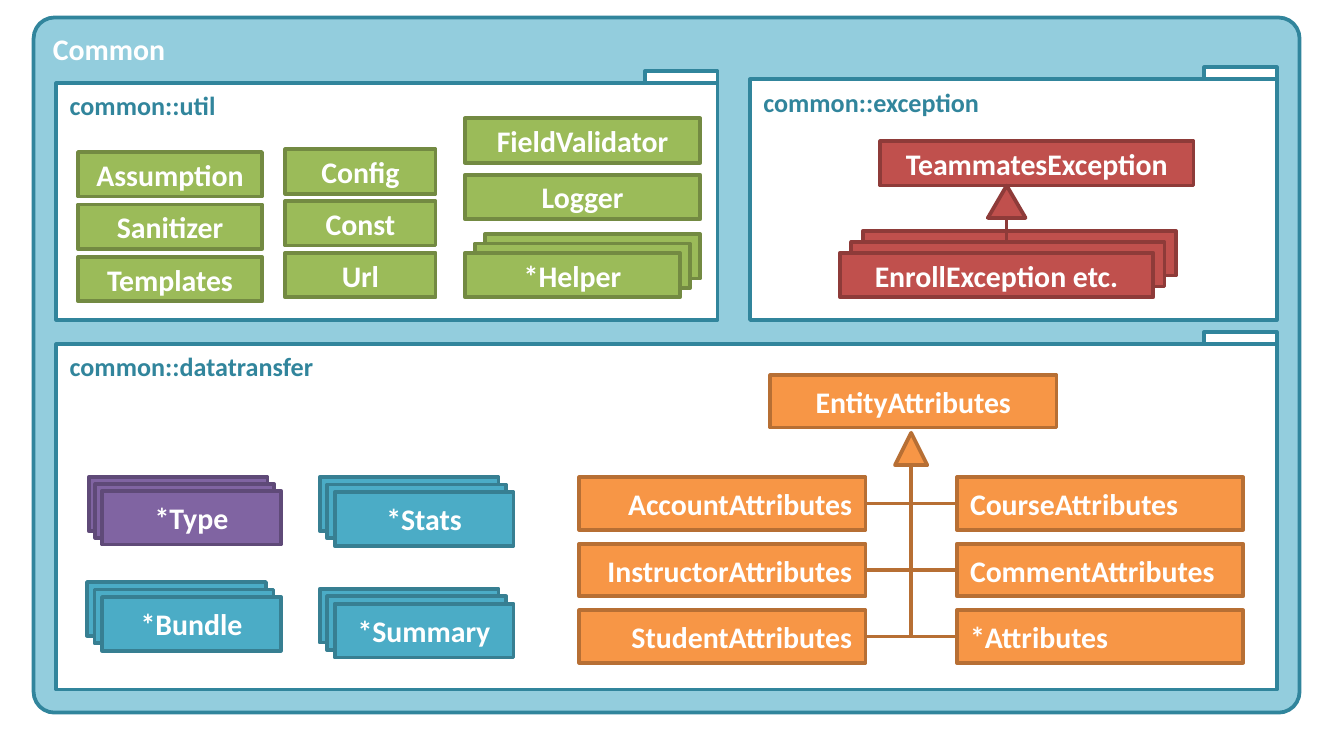
import pptx
import pptx.dml.color
import pptx.enum.shapes
import pptx.enum.text
import pptx.oxml
import pptx.oxml.ns
import pptx.util

Pt = pptx.util.Pt
SHAPE = pptx.enum.shapes.MSO_SHAPE
CONNECTOR = pptx.enum.shapes.MSO_CONNECTOR
ANCHOR = pptx.enum.text.MSO_ANCHOR
ALIGN = pptx.enum.text.PP_ALIGN

# Fill and line colour of each family of classes
GREEN = ("9BBB59", "738A42")
RED = ("C0504D", "8E3B39")
ORANGE = ("F79646", "B76F34")
BLUE = ("4BACC6", "377F92")
PURPLE = ("8064A2", "5F4A78")
WHITE = "FFFFFF"
TEAL = "31859C"
PACKAGE = (WHITE, TEAL)
COMPONENT = ("93CDDD", TEAL)


def rgb(value):
    return pptx.dml.color.RGBColor.from_string(value)


def add_block(page, kind, bounds, colours):
    block = page.shapes.add_shape(kind, *(Pt(length) for length in bounds))
    block.shadow.inherit = False
    block.fill.solid()
    block.fill.fore_color.rgb = rgb(colours[0])
    block.line.color.rgb = rgb(colours[1])
    block.line.width = Pt(2)
    return block


def write(block, text, colour=WHITE, size=16, align=ALIGN.CENTER, anchor=ANCHOR.MIDDLE):
    block.text_frame.vertical_anchor = anchor
    para = block.text_frame.paragraphs[0]
    para.alignment = align
    span = para.add_run()
    span.text = text
    span.font.color.rgb = rgb(colour)
    formats = {"name": "Calibri", "size": Pt(size), "bold": True}
    for name, value in formats.items():
        setattr(span.font, name, value)


def add_class(page, text, bounds, colours, align=ALIGN.CENTER):
    write(add_block(page, SHAPE.RECTANGLE, bounds, colours), text, align=align)


def add_column(page, names, left, top, width, height, step, colours, align=ALIGN.CENTER):
    for row, name in enumerate(names):
        add_class(page, name, (left, top + row * step, width, height), colours, align)


def add_stack(page, text, bounds, colours, step):
    """Draw a class with two blank copies behind it, each shifted by step."""
    left, top, width, height = bounds
    for depth in (2, 1):
        shifted = (left + depth * step[0], top + depth * step[1], width, height)
        add_block(page, SHAPE.RECTANGLE, shifted, colours)
    add_class(page, text, bounds, colours)


def add_package(page, name, bounds):
    """Draw a UML package: a panel with a tab above its right corner."""
    left, top, width, height = bounds
    panel = add_block(page, SHAPE.RECTANGLE, bounds, PACKAGE)
    write(panel, name, TEAL, 14, ALIGN.LEFT, ANCHOR.TOP)
    tab = (left + width - 38.9, top - 6.5, 38.9, 6.5)
    add_block(page, SHAPE.RECTANGLE, tab, PACKAGE)


def add_link(page, kind, start, end, colour, weight):
    link = page.shapes.add_connector(kind, *(Pt(length) for length in start + end))
    link.line.color.rgb = rgb(colour)
    link.line.width = Pt(weight)
    properties = link._element.spPr
    properties.append(pptx.oxml.parse_xml("<a:effectLst %s/>" % pptx.oxml.ns.nsdecls("a")))
    return link


def add_branch(page, start, end, colour):
    """Draw a one-bend connector that runs down first and then sideways."""
    link = add_link(page, CONNECTOR.ELBOW, start, end, colour, 2)
    across, down = abs(end[0] - start[0]), end[1] - start[1]
    middle_x, middle_y = (start[0] + end[0]) / 2, (start[1] + end[1]) / 2
    link.left, link.top = Pt(middle_x - down / 2), Pt(middle_y - across / 2)
    link.width, link.height = Pt(down), Pt(across)
    to_right = end[0] > start[0]
    properties = link._element.spPr
    properties.xfrm.set("rot", str((270 if to_right else 90) * 60000))
    properties.xfrm.set("flipH", "1" if to_right else "0")
    properties.find(pptx.oxml.ns.qn("a:prstGeom")).set("prst", "bentConnector2")


def draw_util(page):
    add_package(page, "common::util", (30.2, 44.6, 354.2, 126.7))
    height = 23.8
    add_column(page, ["Assumption", "Sanitizer", "Templates"],
               41.8, 81.4, 98.6, height, 28.1, GREEN)
    add_column(page, ["Config", "Const", "Url"], 152.8, 80, 80.6, height, 27.7, GREEN)
    add_column(page, ["FieldValidator", "Logger"], 249.1, 63.4, 126, height, 30.2, GREEN)
    add_stack(page, "*Helper", (249.1, 135.4, 115.2, height), GREEN, (5.4, -5))


def draw_exceptions(page):
    add_package(page, "common::exception", (401.8, 42.5, 282.2, 128.9))
    add_class(page, "TeammatesException", (471.6, 75.6, 167.8, 23.8), RED)
    add_block(page, SHAPE.ISOSCELES_TRIANGLE, (529.2, 99.4, 20.2, 17.3), RED)
    add_stack(page, "EnrollException etc.", (450, 135.4, 167.8, 23.8), RED, (6.1, -5.8))
    add_link(page, CONNECTOR.STRAIGHT, (539.3, 116.6), (539.3, 129.6), RED[1], 1.5)


def draw_attributes(page):
    width, height, step, top = 153.4, 28.1, 35.6, 255.6
    left_column, right_column, trunk = 310.3, 512.6, 488.2
    add_class(page, "EntityAttributes", (412.6, 200.9, width, height), ORANGE)
    add_block(page, SHAPE.ISOSCELES_TRIANGLE, (479.5, 231.8, 17.3, 17.3), ORANGE)
    add_column(page, ["AccountAttributes", "InstructorAttributes", "StudentAttributes"],
               left_column, top, width, height, step, ORANGE, ALIGN.RIGHT)
    add_column(page, ["CourseAttributes", "CommentAttributes", "*Attributes"],
               right_column, top, width, height, step, ORANGE, ALIGN.LEFT)
    for side in (left_column + width, right_column):
        for row in range(3):
            end = (side, top + row * step + height / 2)
            add_branch(page, (trunk, 248.6), end, ORANGE[1])


def draw_datatransfer(page):
    add_package(page, "common::datatransfer", (30.2, 184.3, 653.8, 185))
    draw_attributes(page)
    stacks = [
        ("*Bundle", 54.7, 319.7, BLUE, (-4, -4)),
        ("*Stats", 179.3, 263.5, BLUE, (-4, -4)),
        ("*Summary", 179.3, 323.3, BLUE, (-4, -4)),
        ("*Type", 54.7, 262.8, PURPLE, (-3.6, -3.6)),
    ]
    for name, left, top, colours, step in stacks:
        add_stack(page, name, (left, top, 95.8, 28.8), colours, step)


def main():
    deck = pptx.Presentation()
    deck.slide_width, deck.slide_height = Pt(720), Pt(403.2)
    page = deck.slides.add_slide(deck.slide_layouts[6])
    component = add_block(page, SHAPE.ROUNDED_RECTANGLE, (18, 9.4, 678.2, 372.2), COMPONENT)
    component.adjustments[0] = 0.03
    write(component, "Common", align=ALIGN.LEFT, anchor=ANCHOR.TOP)
    draw_datatransfer(page)
    draw_exceptions(page)
    draw_util(page)
    deck.save("out.pptx")


if __name__ == "__main__":
    main()
